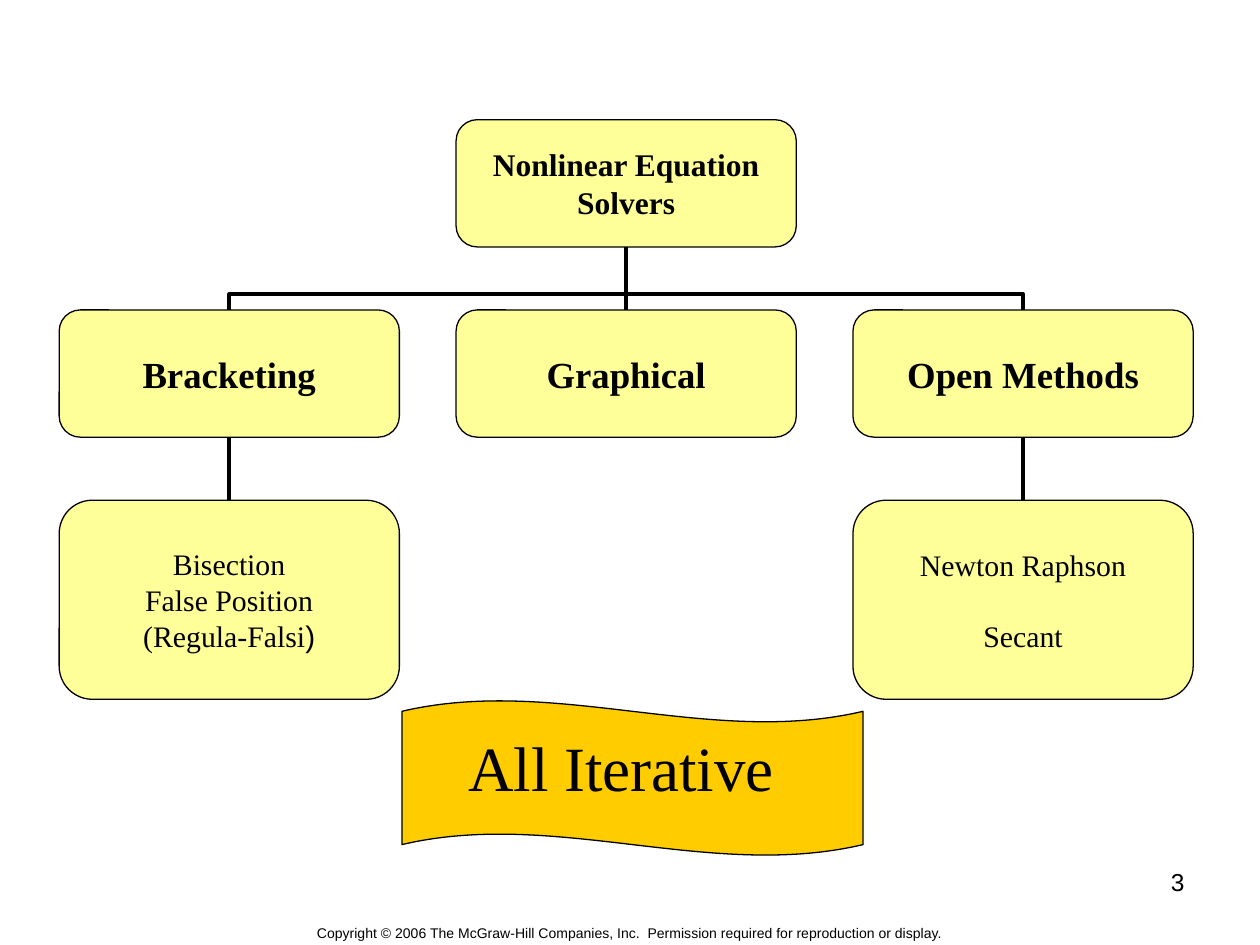
import pptx
import pptx.util
import pptx.dml.color
import pptx.enum.shapes
import pptx.enum.text
import pptx.oxml.ns
from lxml import etree

Inches, Pt = pptx.util.Inches, pptx.util.Pt
SHAPE = pptx.enum.shapes.MSO_SHAPE
LINE = pptx.enum.shapes.MSO_CONNECTOR
ALIGN = pptx.enum.text.PP_ALIGN
ANCHOR = pptx.enum.text.MSO_ANCHOR
qn = pptx.oxml.ns.qn

COLORS = {"ink": "000000", "box": "FFFF99", "banner": "FFCC00"}
SERIF, SANS = "Times New Roman", "Arial"


def rgb(name):
    return pptx.dml.color.RGBColor.from_string(COLORS[name])


def style(r, size, font, bold=False):
    r.font.size = Pt(size)
    r.font.name = font
    r.font.bold = bold
    r.font.color.rgb = rgb("ink")


def filled_shape(s, kind, x, y, w, h, fill):
    sp = s.shapes.add_shape(kind, Inches(x), Inches(y), Inches(w), Inches(h))
    sp.shadow.inherit = False
    sp.fill.solid()
    sp.fill.fore_color.rgb = rgb(fill)
    sp.line.color.rgb = rgb("ink")
    sp.line.width = Pt(0.75)
    return sp


def node(s, x, y, w, h, text, size, bold=False, gap=0):
    sp = filled_shape(s, SHAPE.ROUNDED_RECTANGLE, x, y, w, h, "box")
    tf = sp.text_frame
    tf.margin_left = tf.margin_right = tf.margin_top = tf.margin_bottom = 0
    tf.vertical_anchor = ANCHOR.MIDDLE
    tf.word_wrap = False
    tf.text = text
    for i, p in enumerate(tf.paragraphs):
        p.alignment = ALIGN.CENTER
        if i and gap:
            p.space_before = Pt(gap)
        for r in p.runs:
            style(r, size, SERIF, bold)
    return sp


def connector(s, kind, x1, y1, x2, y2):
    c = s.shapes.add_connector(kind, Inches(x1), Inches(y1), Inches(x2), Inches(y2))
    c.line.color.rgb = rgb("ink")
    c.line.width = Pt(2.25)
    etree.SubElement(c.element.spPr, qn("a:effectLst"))
    return c


def link(s, child, parent):
    c = connector(s, LINE.STRAIGHT, 0, 0, 0, 0)
    c.begin_connect(child, 0)
    c.end_connect(parent, 2)


def branch(s, x1, y1, x2, y2):
    """Elbow rising from (x1, y1), across, and up to (x2, y2)."""
    side = 1 if x1 > x2 else -1
    cx, cy = (x1 + x2) / 2, (y1 + y2) / 2
    half_w, half_h = side * (y1 - y2) / 2, abs(x1 - x2) / 2
    c = connector(s, LINE.ELBOW, cx - half_w, cy + half_h, cx + half_w, cy - half_h)
    spPr = c.element.spPr
    spPr.find(qn("a:xfrm")).set("rot", str((270 if side > 0 else 90) * 60000))
    geom = spPr.find(qn("a:prstGeom"))
    guides = geom.find(qn("a:avLst"))
    if guides is None:
        guides = etree.SubElement(geom, qn("a:avLst"))
    etree.SubElement(guides, qn("a:gd"), name="adj1", fmla="val 24700")


def solver_tree(s, x, y):
    w, h, leaf_h = 2.7, 1.01, 1.58
    step_x, step_y = 3.15, 1.51
    cols = [x + i * step_x for i in range(3)]
    rows = [y + i * step_y for i in range(3)]

    root = node(s, cols[1], rows[0], w, h, "Nonlinear Equation\nSolvers", 18, True)
    names = ["Bracketing", "Graphical", "Open Methods"]
    groups = [node(s, col, rows[1], w, h, name, 21, True)
              for col, name in zip(cols, names)]
    left = node(s, cols[0], rows[2], w, leaf_h,
                "Bisection\nFalse Position\n(Regula-Falsi", 17)
    r = left.text_frame.paragraphs[-1].add_run()
    r.text = ")"
    style(r, 17, SANS)
    right = node(s, cols[2], rows[2], w, leaf_h, "Newton Raphson\nSecant", 17, gap=20)

    # Lines between the levels
    for col in (cols[0], cols[2]):
        branch(s, col + w / 2, rows[1], cols[1] + w / 2, rows[0] + h)
    link(s, groups[1], root)
    link(s, left, groups[0])
    link(s, right, groups[2])


def banner(s, body, x, y, w, h):
    wave = filled_shape(s, SHAPE.WAVE, x, y, w, h, "banner")
    wave.adjustments[0] = 0.07
    # The body text lies on the wave
    body.element.getparent().append(body.element)
    body.left, body.top = Inches(0.43), Inches(y - 0.39)
    body.width, body.height = Inches(9), Inches(1.26)
    tf = body.text_frame
    tf.vertical_anchor = ANCHOR.BOTTOM
    tf.text = "All Iterative"
    p = tf.paragraphs[0]
    pPr = p._p.get_or_add_pPr()
    pPr.set("marL", "0")
    pPr.set("indent", "0")
    etree.SubElement(pPr, qn("a:buNone"))
    p.alignment = ALIGN.CENTER
    p.line_spacing = 0.8
    p.space_before = Pt(0)
    style(p.runs[0], 36, SERIF)


def label(s, x, y, w, h, text, size, align):
    tf = s.shapes.add_textbox(Inches(x), Inches(y), Inches(w), Inches(h)).text_frame
    tf.word_wrap = True
    tf.text = text
    p = tf.paragraphs[0]
    p.alignment = align
    style(p.runs[0], size, SANS)


def main():
    prs = pptx.Presentation()
    prs.slide_width, prs.slide_height = Inches(10), Inches(7.5)
    s = prs.slides.add_slide(prs.slide_layouts[1])
    title, body = s.placeholders[0], s.placeholders[1]
    title.element.getparent().remove(title.element)

    # Copyright line
    label(s, 0, 7.29, 10, 0.24,
          "Copyright © 2006 The McGraw-Hill Companies, Inc.  "
          "Permission required for reproduction or display.", 8, ALIGN.CENTER)
    # Diagram, banner and page number
    solver_tree(s, 0.47, 0.95)
    banner(s, body, 3.19, 5.56, 3.66, 1.23)
    label(s, 7.17, 6.83, 2.33, 0.52, "3", 14, ALIGN.RIGHT)
    prs.save("out.pptx")


if __name__ == "__main__":
    main()
